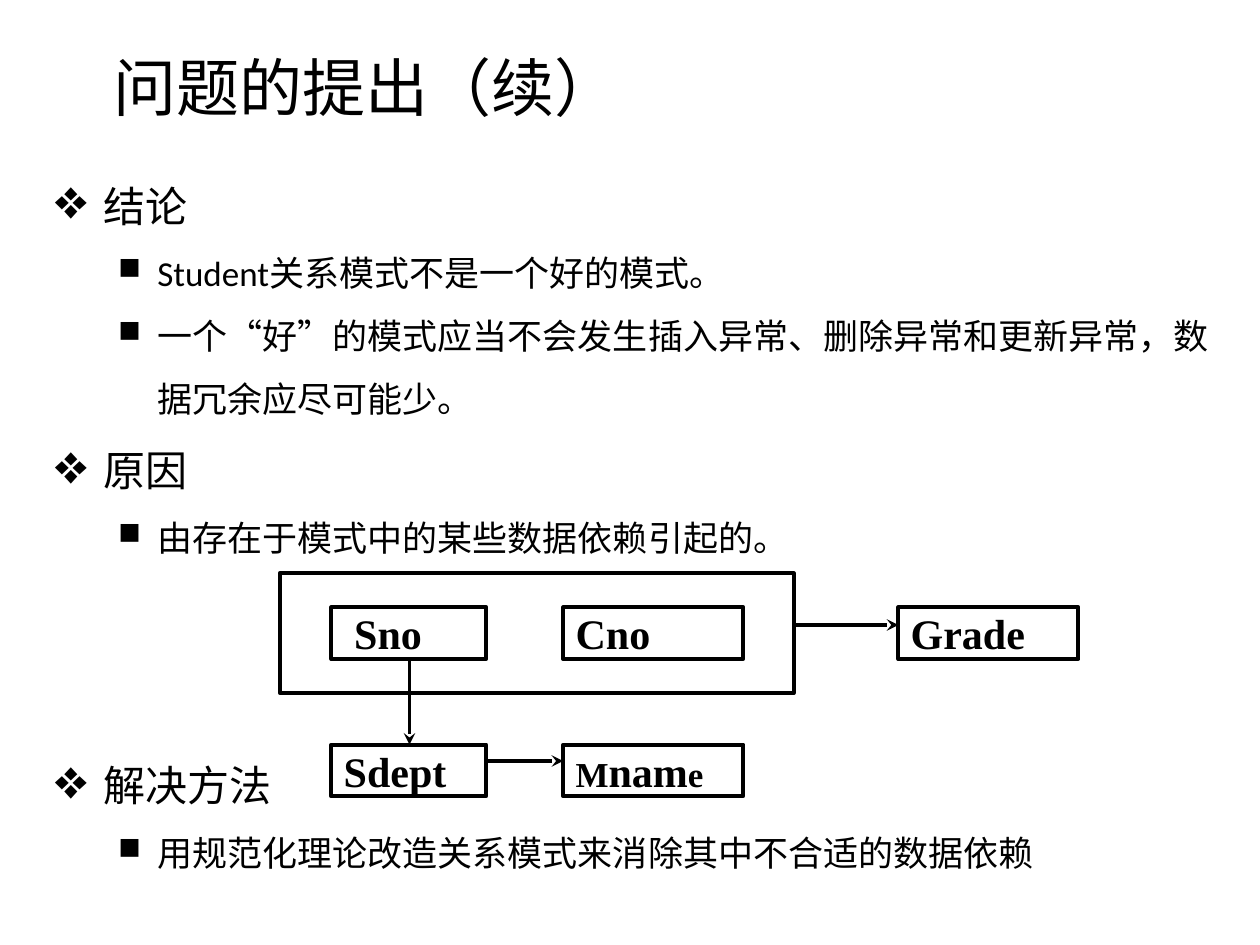
from dataclasses import dataclass

from lxml import etree
from pptx import Presentation
from pptx.dml import color
from pptx.enum import shapes, text
from pptx.oxml import ns
from pptx.util import Inches, Pt


@dataclass(frozen=True)
class Theme:
    ink: color.RGBColor = color.RGBColor(0, 0, 0)
    body_font: str = "Calibri"
    box_font: str = "Times New Roman"
    title: int = 36
    heading: int = 24
    point: int = 20
    line: float = 2.25


@dataclass(frozen=True)
class Level:
    bullet: str
    bullet_percent: int
    size: int
    margin: float
    hanging: float


@dataclass(frozen=True)
class Item:
    level: Level
    wording: str
    space_before: int = 0


@dataclass(frozen=True)
class Box:
    left: float
    top: float
    width: float
    height: float
    spans: tuple[tuple[str, int], ...] = ()


@dataclass(frozen=True)
class Arrow:
    start: tuple[float, float]
    end: tuple[float, float]


THEME = Theme()
HEADING = Level("❖", 133, THEME.heading, 0.38, 0.38)
POINT = Level("■", 88, THEME.point, 0.81, 0.31)

ITEMS = (
    Item(HEADING, "结论"),
    Item(POINT, "Student关系模式不是一个好的模式。"),
    Item(POINT, "一个“好”的模式应当不会发生插入异常、删除异常和更新异常，数据冗余应尽可能少。"),
    Item(HEADING, "原因"),
    Item(POINT, "由存在于模式中的某些数据依赖引起的。"),
    Item(HEADING, "解决方法", 101),
    Item(POINT, "用规范化理论改造关系模式来消除其中不合适的数据依赖"),
)

KEY_COLUMN, SECOND_COLUMN, GRADE_COLUMN = 2.63, 4.47, 7.13
KEY_ROW, DEPENDENT_ROW = 4.82, 5.91
NARROW, WIDE, HEIGHT = 1.23, 1.43, 0.41
LARGE, SMALL = THEME.heading, THEME.point

BOXES = (
    Box(2.22, 4.55, 4.08, 0.95),
    Box(KEY_COLUMN, KEY_ROW, NARROW, HEIGHT, ((" Sno", LARGE),)),
    Box(SECOND_COLUMN, KEY_ROW, WIDE, HEIGHT, (("Cno", LARGE),)),
    Box(KEY_COLUMN, DEPENDENT_ROW, NARROW, HEIGHT, (("Sdept", LARGE),)),
    Box(SECOND_COLUMN, DEPENDENT_ROW, WIDE, HEIGHT,
        (("M", SMALL), ("nam", LARGE), ("e", SMALL))),
    Box(GRADE_COLUMN, KEY_ROW, WIDE, HEIGHT, (("Grade", LARGE),)),
)

ARROWS = (
    Arrow((3.25, KEY_ROW + HEIGHT), (3.25, DEPENDENT_ROW)),
    Arrow((KEY_COLUMN + NARROW, 6.04), (SECOND_COLUMN, 6.04)),
    Arrow((6.3, 4.96), (GRADE_COLUMN, 4.96)),
)


def add_span(para, wording: str, size: int, font: str, bold: bool = False) -> None:
    span = para.add_run()
    span.text = wording
    span.font.size = Pt(size)
    span.font.name = font
    span.font.bold = bold
    span.font.color.rgb = THEME.ink


def add_title(page, wording: str) -> None:
    title = page.shapes.title
    title.left, title.top = Inches(0.8), Inches(0.32)
    title.width, title.height = Inches(8.5), Inches(0.8)
    title.text_frame.vertical_anchor = text.MSO_ANCHOR.MIDDLE
    para = title.text_frame.paragraphs[0]
    para.alignment = text.PP_ALIGN.LEFT
    para.line_spacing = 0.9
    add_span(para, wording, THEME.title, THEME.body_font)


def set_bullet(para, level: Level) -> None:
    properties = para._p.get_or_add_pPr()
    properties.set("marL", str(Inches(level.margin)))
    properties.set("indent", str(-Inches(level.hanging)))
    size = etree.SubElement(properties, ns.qn("a:buSzPct"))
    size.set("val", str(level.bullet_percent * 1000))
    bullet = etree.SubElement(properties, ns.qn("a:buChar"))
    bullet.set("char", level.bullet)


def add_outline(page, items: tuple[Item, ...]) -> None:
    outline = page.shapes.add_textbox(
        Inches(0.34), Inches(1.18), Inches(9.54), Inches(5.96))
    frame = outline.text_frame
    frame.word_wrap = True
    for index, item in enumerate(items):
        para = frame.add_paragraph() if index else frame.paragraphs[0]
        para.level = int(item.level is POINT)
        para.line_spacing = 1.5
        para.space_before = Pt(item.space_before)
        set_bullet(para, item.level)
        add_span(para, item.wording, item.level.size, THEME.body_font)


def add_box(page, box: Box) -> None:
    shape = page.shapes.add_shape(
        shapes.MSO_SHAPE.RECTANGLE, Inches(box.left), Inches(box.top),
        Inches(box.width), Inches(box.height))
    shape.shadow.inherit = False
    shape.fill.background()
    shape.line.color.rgb = THEME.ink
    shape.line.width = Pt(THEME.line)
    frame = shape.text_frame
    frame.vertical_anchor = text.MSO_ANCHOR.MIDDLE
    frame.margin_top = frame.margin_bottom = 0
    para = frame.paragraphs[0]
    para.alignment = text.PP_ALIGN.JUSTIFY
    for wording, size in box.spans:
        add_span(para, wording, size, THEME.box_font, bold=True)


def add_arrow(page, arrow: Arrow) -> None:
    connector = page.shapes.add_connector(
        shapes.MSO_CONNECTOR.STRAIGHT,
        *map(Inches, arrow.start), *map(Inches, arrow.end))
    connector.line.color.rgb = THEME.ink
    connector.line.width = Pt(THEME.line)
    head = etree.SubElement(connector.line._get_or_add_ln(), ns.qn("a:tailEnd"))
    head.set("type", "stealth")
    etree.SubElement(connector._element.spPr, ns.qn("a:effectLst"))


def main() -> None:
    deck = Presentation()
    deck.slide_width, deck.slide_height = Inches(10), Inches(7.5)
    page = deck.slides.add_slide(deck.slide_layouts.get_by_name("Title Only"))
    add_title(page, "问题的提出（续）")
    add_outline(page, ITEMS)
    for box in BOXES:
        add_box(page, box)
    for arrow in ARROWS:
        add_arrow(page, arrow)
    deck.save("out.pptx")


if __name__ == "__main__":
    main()
